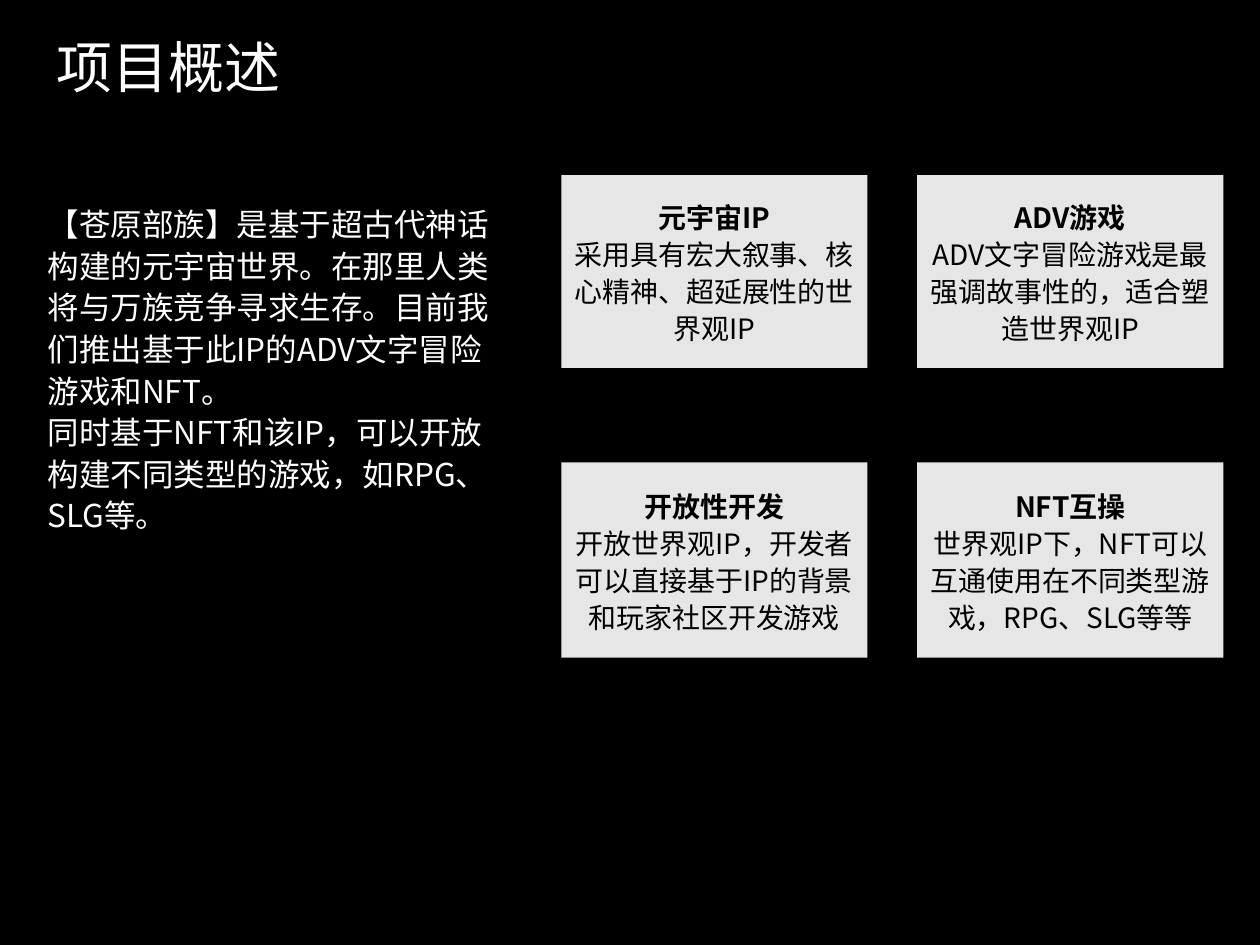
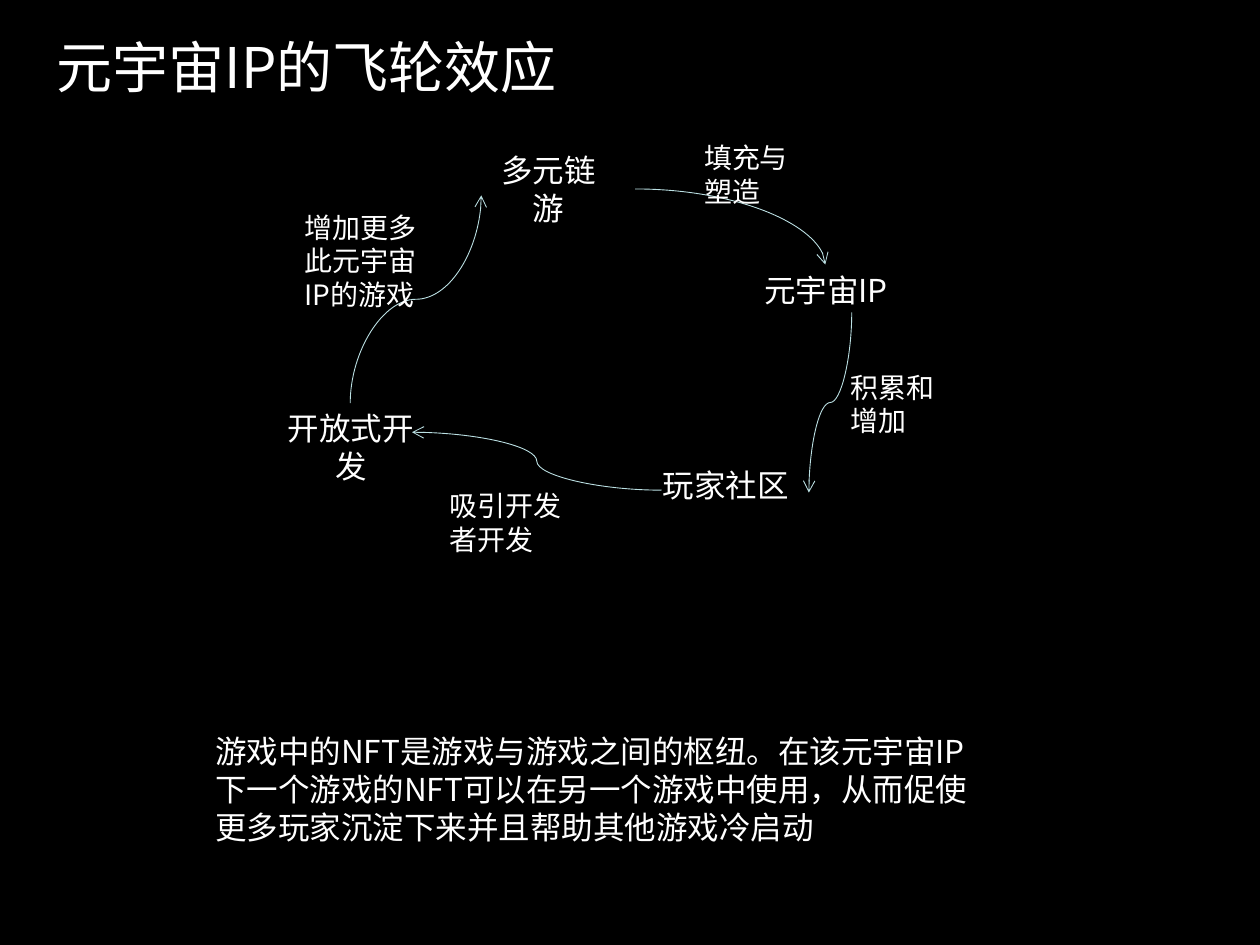
from math import cos, radians
from lxml.etree import SubElement
from pptx import Presentation
from pptx.dml.color import RGBColor
from pptx.enum.shapes import MSO_CONNECTOR, MSO_SHAPE
from pptx.enum.text import MSO_ANCHOR, MSO_AUTO_SIZE, PP_ALIGN
from pptx.oxml.ns import qn
from pptx.util import Inches, Pt

FONT = "Noto Sans CJK SC"
BLACK, WHITE, CARD, ARROW = "000000", "FFFFFF", "E6E6E6", "BBE0E3"
TITLE_SIZE, BODY_SIZE, NOTE_SIZE = 32, 18, 16

OVERVIEW_TITLE = "项目概述"
OVERVIEW = [
    "【苍原部族】是基于超古代神话构建的元宇宙世界。在那里人类将与万族竞争寻求生存。"
    "目前我们推出基于此IP的ADV文字冒险游戏和NFT。",
    "同时基于NFT和该IP，可以开放构建不同类型的游戏，如RPG、SLG等。",
]
CARDS = [
    ("元宇宙IP", "采用具有宏大叙事、核心精神、超延展性的世界观IP"),
    ("ADV游戏", "ADV文字冒险游戏是最强调故事性的，适合塑造世界观IP"),
    ("开放性开发", "开放世界观IP，开发者可以直接基于IP的背景和玩家社区开发游戏"),
    ("NFT互操", "世界观IP下，NFT可以互通使用在不同类型游戏，RPG、SLG等等"),
]
CARD_COLUMNS = [4.455, 7.28]
CARD_ROWS = [(1.39, 1.53), (3.67, 1.55)]
CARD_WIDTH = 2.43

FLYWHEEL_TITLE = "元宇宙IP的飞轮效应"
STAGES = [
    (["多元链", "游"], (3.66, 1.15, 1.39, 0.71)),
    (["元宇宙IP"], (5.86, 2.1, 1.39, 0.4)),
    (["玩家社区"], (5, 3.65, 1.52, 0.4)),
    (["开放式开发"], (2.09, 3.2, 1.39, 0.71)),
]
EFFECTS = [
    ("填充与塑造", (5.49, 1.07, 1.03, 0.64)),
    ("积累和增加", (6.65, 2.89, 1.03, 0.64)),
    ("吸引开发者开发", (3.47, 3.83, 1.28, 0.64)),
    ("增加更多此元宇宙IP的游戏", (2.32, 1.62, 1.28, 0.91)),
]
ARROWS = [
    ((5.04, 1.5), (6.55, 2.1), 0, "curvedConnector2"),
    ((6.76, 2.48), (6.42, 3.91), 90, "curvedConnector3"),
    ((5.25, 3.89), (3.27, 3.43), 180, "curvedConnector3"),
    ((2.78, 3.2), (3.82, 1.55), 270, "curvedConnector3"),
]
SUMMARY = ("游戏中的NFT是游戏与游戏之间的枢纽。在该元宇宙IP下一个游戏的NFT可以在另一个游戏中使用，"
           "从而促使更多玩家沉淀下来并且帮助其他游戏冷启动")


def color(value):
    return RGBColor.from_string(value)


def write(frame, lines, size, ink=WHITE, align=PP_ALIGN.LEFT, spacing=None, bold_first=False):
    frame.word_wrap = True
    for index, line in enumerate(lines):
        para = frame.paragraphs[0] if index == 0 else frame.add_paragraph()
        para.alignment = align
        if spacing:
            para.line_spacing = spacing
        span = para.add_run()
        span.text = line
        span.font.size = Pt(size)
        span.font.bold = bold_first and index == 0
        span.font.color.rgb = color(ink)
        span.font.name = FONT
        SubElement(span.font._element, qn("a:ea")).set("typeface", FONT)


def add_text(page, lines, place, size, **style):
    box = page.shapes.add_textbox(*map(Inches, place))
    write(box.text_frame, lines, size, **style)
    box.text_frame.auto_size = MSO_AUTO_SIZE.SHAPE_TO_FIT_TEXT


def add_card(page, lines, place):
    card = page.shapes.add_shape(MSO_SHAPE.RECTANGLE, *map(Inches, place))
    card.shadow.inherit = False
    card.fill.solid()
    card.fill.fore_color.rgb = color(CARD)
    card.line.fill.background()
    card.text_frame.vertical_anchor = MSO_ANCHOR.MIDDLE
    write(card.text_frame, lines, NOTE_SIZE, ink=BLACK, align=PP_ALIGN.CENTER,
          spacing=1.1, bold_first=True)


def add_arrow(page, start, end, turn, preset):
    middle = [(a + b) / 2 for a, b in zip(start, end)]
    half = [abs(a - b) / 2 for a, b in zip(start, end)]
    if abs(cos(radians(turn))) < 0.5:
        half.reverse()
    corners = [m - h for m, h in zip(middle, half)] + [m + h for m, h in zip(middle, half)]
    arrow = page.shapes.add_connector(MSO_CONNECTOR.CURVE, *map(Inches, corners))
    arrow.line.color.rgb = color(ARROW)
    arrow.line.width = Pt(0.5)
    properties = arrow._element.spPr
    properties.find(qn("a:xfrm")).set("rot", str(turn * 60000))
    properties.find(qn("a:prstGeom")).set("prst", preset)
    SubElement(properties.find(qn("a:ln")), qn("a:tailEnd")).set("type", "arrow")
    SubElement(properties, qn("a:effectLst"))


def add_page(deck, title, width):
    page = deck.slides.add_slide(deck.slide_layouts[6])
    page.background.fill.solid()
    page.background.fill.fore_color.rgb = color(BLACK)
    add_text(page, [title], (0.35, 0.21, width, 0.64), TITLE_SIZE)
    return page


deck = Presentation()
deck.slide_width, deck.slide_height = Inches(10), Inches(7.5)

overview = add_page(deck, OVERVIEW_TITLE, 2.66)
add_text(overview, OVERVIEW, (0.28, 1.55, 3.86, 2.76), BODY_SIZE, spacing=1.1)
for index, lines in enumerate(CARDS):
    row, column = divmod(index, len(CARD_COLUMNS))
    top, height = CARD_ROWS[row]
    add_card(overview, lines, (CARD_COLUMNS[column], top, CARD_WIDTH, height))

flywheel = add_page(deck, FLYWHEEL_TITLE, 5.78)
for lines, place in STAGES:
    add_text(flywheel, lines, place, BODY_SIZE, align=PP_ALIGN.CENTER)
for arrow in ARROWS:
    add_arrow(flywheel, *arrow)
for label, place in EFFECTS:
    add_text(flywheel, [label], place, NOTE_SIZE)
add_text(flywheel, [SUMMARY], (1.61, 5.76, 6.27, 1.01), BODY_SIZE)

deck.save("out.pptx")
